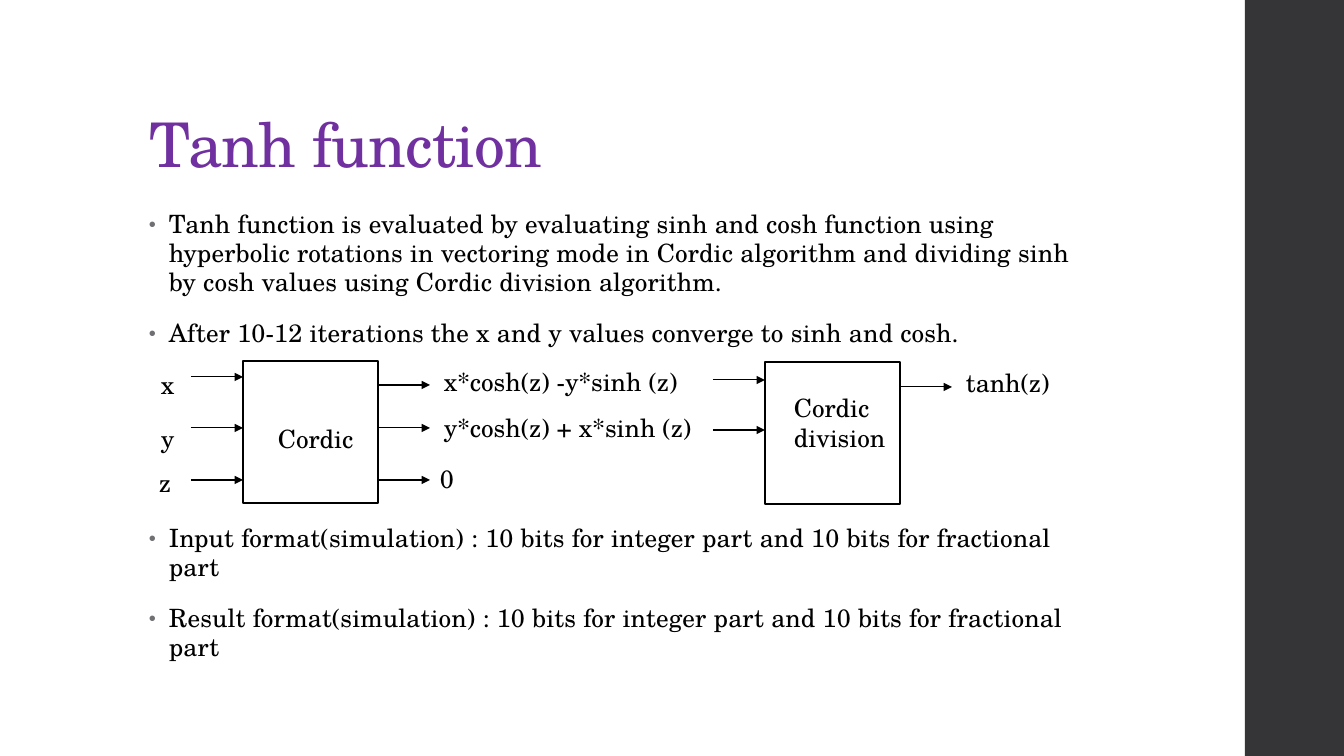
from lxml.etree import SubElement
from pptx import Presentation
from pptx.dml.color import RGBColor
from pptx.enum.shapes import MSO_CONNECTOR, MSO_SHAPE
from pptx.enum.text import MSO_ANCHOR, MSO_AUTO_SIZE, PP_ALIGN
from pptx.oxml.ns import qn
from pptx.util import Pt

SCALE = 914400 / 100.8
FONT = "TeX Gyre Schola"
COLORS = {
    "title": "7030A0",
    "text": "000000",
    "line": "000000",
    "box": "FFFFFF",
    "band": "353537",
    "bullet": "6F6F74",
}
POINTS = [
    ("Tanh function is evaluated by evaluating sinh and cosh function using "
     "hyperbolic rotations in vectoring mode in Cordic algorithm and dividing "
     "sinh by cosh values using Cordic division algorithm.", 14),
    ("After 10-12 iterations the x and y values converge to sinh and cosh.", 14),
    # The wide gap leaves room for the diagram.
    ("Input format(simulation) : 10 bits for integer part and 10 bits for "
     "fractional part", 124),
    ("Result format(simulation) : 10 bits for integer part and 10 bits for "
     "fractional part", 14),
]
LABELS = [
    ("x", 151, 364, 41),
    ("y", 151, 418, 41),
    ("z", 149, 462, 41),
    ("Cordic", 268, 418, 110),
    ("x*cosh(z) -y*sinh (z)", 434, 361, 270),
    ("y*cosh(z) + x*sinh (z)", 434, 407, 270),
    ("0", 430, 458, 94),
    ("Cordic division", 784, 387, 132),
    ("tanh(z)", 956, 362, 156),
]
BOXES = [(243, 361), (765, 362)]
ARROWS = [
    (191, [377, 428, 480]),
    (378, [385, 428, 480]),
    (713, [380, 430]),
    (900, [387]),
]
REACH = 52


def px(num):
    return round(num * SCALE)


def color(name):
    return RGBColor.from_string(COLORS[name])


def write(para, text, size=18, tint="text", space=None, pitch=None):
    """Fill a paragraph; space is letter spacing in hundredths of a point."""
    run = para.add_run()
    run.text = text
    run.font.name = FONT
    run.font.size = Pt(size)
    run.font.color.rgb = color(tint)
    para.alignment = PP_ALIGN.LEFT
    if pitch:
        para.line_spacing = pitch
    if space:
        run.font._element.set("spc", str(space))


def add_frame(slide, left, top, width, height):
    box = slide.shapes.add_textbox(px(left), px(top), px(width), px(height))
    box.text_frame.word_wrap = True
    return box.text_frame


def add_rect(slide, left, top, width, height, fill, line=None):
    rect = slide.shapes.add_shape(
        MSO_SHAPE.RECTANGLE, px(left), px(top), px(width), px(height))
    rect.shadow.inherit = False
    rect.fill.solid()
    rect.fill.fore_color.rgb = color(fill)
    if line:
        rect.line.color.rgb = color(line)
        rect.line.width = Pt(1.1)
    else:
        rect.line.fill.background()


def add_arrow(slide, left, top):
    arrow = slide.shapes.add_connector(
        MSO_CONNECTOR.STRAIGHT, px(left), px(top), px(left + REACH), px(top))
    arrow.line.color.rgb = color("line")
    arrow.line.width = Pt(0.75)
    SubElement(arrow.line._get_or_add_ln(), qn("a:tailEnd"), type="triangle")
    SubElement(arrow._element.spPr, qn("a:effectLst"))


def add_bullet(para):
    props = para._p.get_or_add_pPr()
    props.set("marL", str(px(20)))
    props.set("indent", str(px(-20)))
    tint = SubElement(props, qn("a:buClr"))
    SubElement(tint, qn("a:srgbClr"), val=COLORS["bullet"])
    SubElement(props, qn("a:buSzPct"), val="80000")
    SubElement(props, qn("a:buFont"), typeface="Arial")
    SubElement(props, qn("a:buChar"), char="•")


def add_title(slide, text):
    title = slide.shapes.title
    title.left, title.top = px(139), px(40)
    title.width, title.height = px(1068), px(146)
    frame = title.text_frame
    frame.auto_size = MSO_AUTO_SIZE.NONE
    frame.vertical_anchor = MSO_ANCHOR.BOTTOM
    write(frame.paragraphs[0], text, size=44, tint="title", space=-50, pitch=0.9)


def add_points(slide):
    frame = add_frame(slide, 139, 206, 948, 530)
    for num, (text, gap) in enumerate(POINTS):
        para = frame.add_paragraph() if num else frame.paragraphs[0]
        write(para, text, space=10, pitch=0.95)
        para.space_before, para.space_after = Pt(gap), Pt(2)
        add_bullet(para)


def add_chain(slide):
    """Draw the two Cordic stages with their inputs and outputs."""
    for left, top in BOXES:
        add_rect(slide, left, top, 135, 142, "box", "line")
    for left, tops in ARROWS:
        for top in tops:
            add_arrow(slide, left, top)
    for text, left, top, width in LABELS:
        frame = add_frame(slide, left, top, width, 40)
        frame.auto_size = MSO_AUTO_SIZE.SHAPE_TO_FIT_TEXT
        write(frame.paragraphs[0], text)


def main():
    deck = Presentation()
    deck.slide_width, deck.slide_height = px(1344), px(756)
    slide = deck.slides.add_slide(deck.slide_layouts[5])
    add_rect(slide, 1245, 0, 99, 756, "band")
    add_title(slide, "Tanh function")
    add_points(slide)
    add_chain(slide)
    deck.save("out.pptx")


if __name__ == "__main__":
    main()
